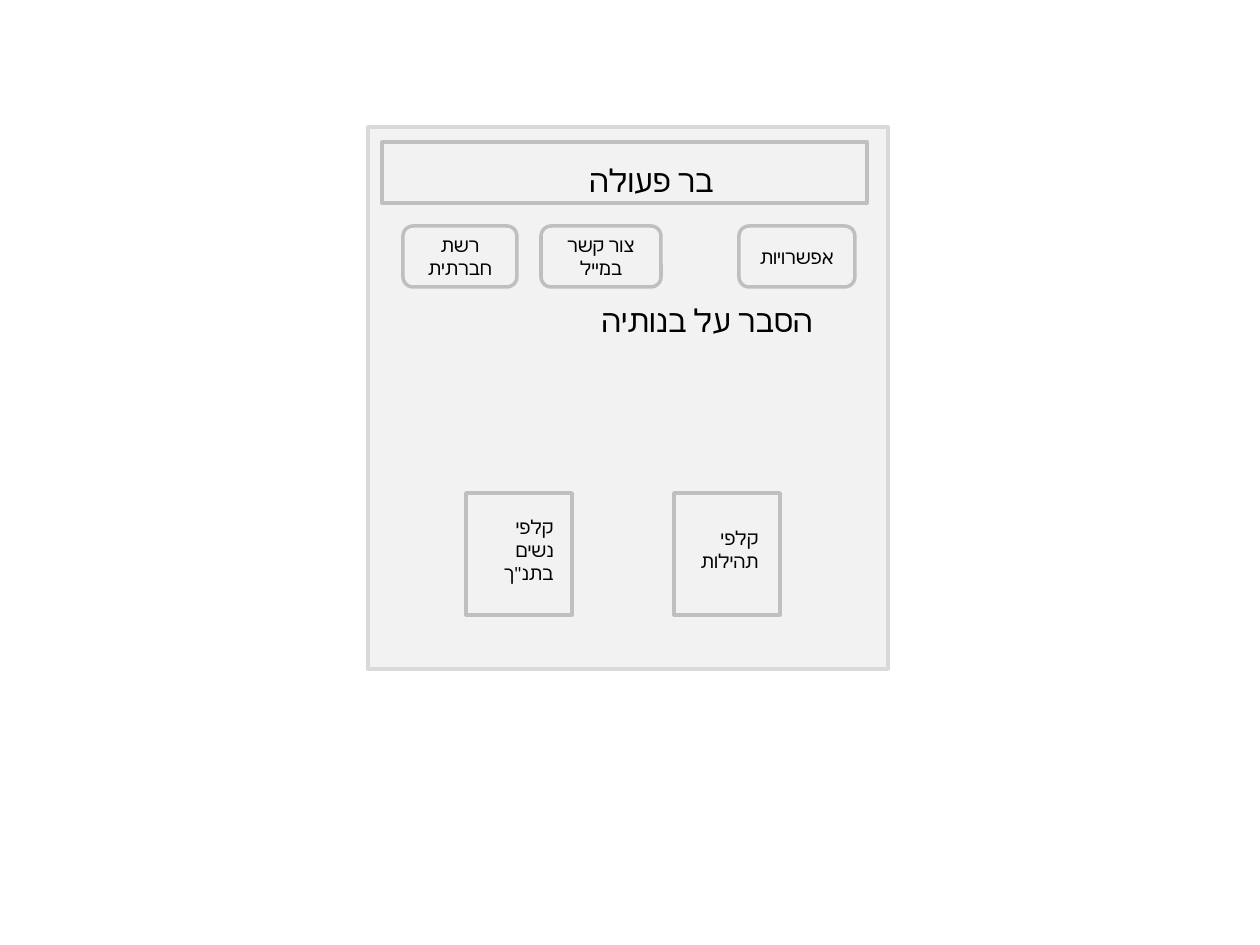
from typing import NamedTuple

from pptx import Presentation
from pptx.dml.color import RGBColor
from pptx.enum.shapes import MSO_SHAPE as Form
from pptx.enum.text import MSO_ANCHOR as Anchor, PP_ALIGN as Align
from pptx.oxml.ns import qn
from pptx.oxml.xmlchemy import OxmlElement as Element
from pptx.util import Emu, Pt

SCALE = 914400 // 126
FONT = "Calibri"
PALE, GREY, EDGE, BLACK = "F2F2F2", "BFBFBF", "D9D9D9", "000000"


class Box(NamedTuple):
    x: int
    y: int
    w: int
    h: int


class Button(NamedTuple):
    x: int
    w: int
    text: str


class Label(NamedTuple):
    box: Box
    text: str
    size: int


def px(n: int) -> Emu:
    return Emu(n * SCALE)


def color(code: str) -> RGBColor:
    return RGBColor.from_string(code)


def write(shape, text: str, size: int, align: Align, anchor: Anchor) -> None:
    """Put one right-to-left paragraph in a shape."""
    frame = shape.text_frame
    for name, value in {"word_wrap": True, "vertical_anchor": anchor}.items():
        setattr(frame, name, value)
    para = frame.paragraphs[0]
    para.alignment = align
    para._p.get_or_add_pPr().set("rtl", "1")
    run = para.add_run()
    run.text = text
    for name, value in {"name": FONT, "size": Pt(size)}.items():
        setattr(run.font, name, value)
    run.font.color.rgb = color(BLACK)
    # Hebrew takes its font from the complex-script entry
    script = Element("a:cs")
    script.set("typeface", FONT)
    run._r.get_or_add_rPr().find(qn("a:latin")).addnext(script)


def panel(slide, box: Box, line: str = GREY, form: Form = Form.RECTANGLE):
    shape = slide.shapes.add_shape(form, *map(px, box))
    shape.shadow.inherit = False
    shape.fill.solid()
    shape.fill.fore_color.rgb = color(PALE)
    shape.line.color.rgb = color(line)
    shape.line.width = Pt(2)
    return shape


def label(slide, item: Label) -> None:
    shape = slide.shapes.add_textbox(*map(px, item.box))
    write(shape, item.text, item.size, Align.RIGHT, Anchor.TOP)


def button(slide, item: Button) -> None:
    box = Box(item.x, 226, item.w, 61)
    shape = panel(slide, box, form=Form.ROUNDED_RECTANGLE)
    write(shape, item.text, 11, Align.CENTER, Anchor.MIDDLE)


BUTTONS = [
    Button(403, 114, "רשת חברתית"),
    Button(541, 120, "צור קשר במייל"),
    Button(739, 116, "אפשרויות"),
]
LABELS = [
    Label(Box(508, 155, 218, 39), "בר פעולה", 18),
    Label(Box(683, 520, 88, 28), "קלפי תהילות", 11),
    Label(Box(466, 509, 100, 45), "קלפי נשים בתנ\"ך", 11),
    Label(Box(425, 295, 400, 156), "הסבר על בנותיה", 18),
]


def main() -> None:
    deck = Presentation()
    deck.slide_width, deck.slide_height = px(1260), px(945)
    slide = deck.slides.add_slide(deck.slide_layouts[6])

    # Screen and action bar
    panel(slide, Box(368, 127, 520, 542), EDGE)
    panel(slide, Box(382, 142, 485, 61))

    # Clip cards
    for x in (674, 466):
        panel(slide, Box(x, 493, 106, 122))

    # Words, then buttons
    for item in LABELS:
        label(slide, item)
    for item in BUTTONS:
        button(slide, item)

    deck.save("out.pptx")


if __name__ == "__main__":
    main()
